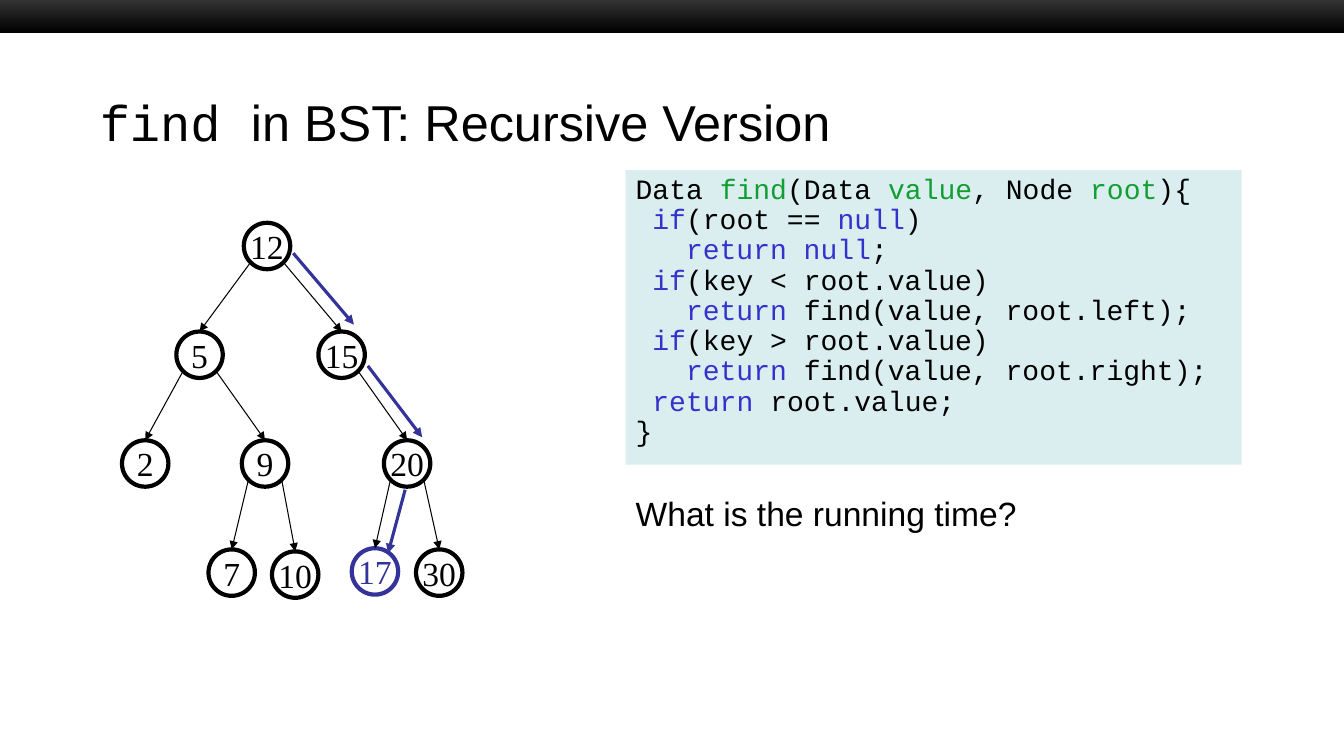
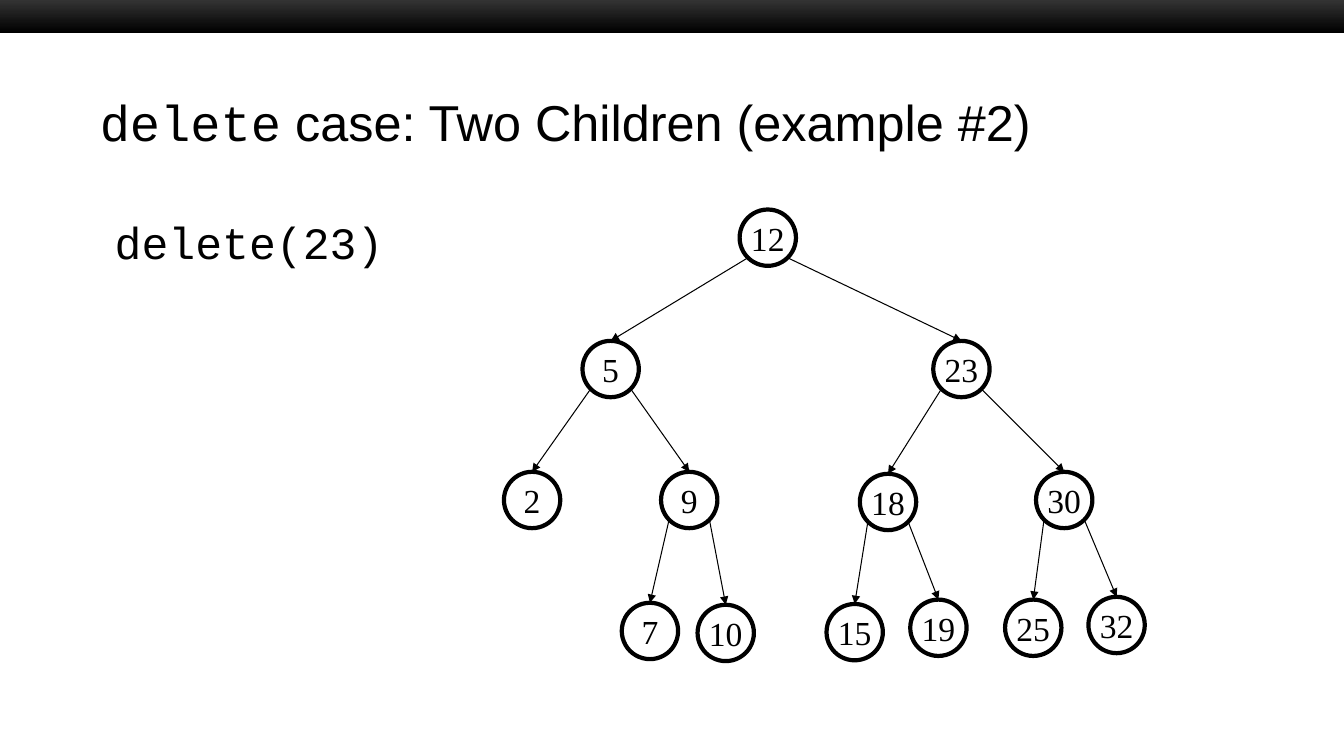
from lxml import etree
from pptx import Presentation
from pptx.dml.color import RGBColor
from pptx.enum.shapes import MSO_CONNECTOR, MSO_SHAPE
from pptx.enum.text import MSO_ANCHOR, PP_ALIGN
from pptx.oxml.ns import qn
from pptx.util import Cm, Pt

RECTANGLE = MSO_SHAPE.RECTANGLE
OVAL = MSO_SHAPE.OVAL
STRAIGHT = MSO_CONNECTOR.STRAIGHT
MIDDLE = MSO_ANCHOR.MIDDLE
TOP = MSO_ANCHOR.TOP
CENTER = PP_ALIGN.CENTER
LEFT = PP_ALIGN.LEFT

COLORS = {
    "text": "000000",
    "band_top": "333333",
    "band_bottom": "000000",
    "code_back": "DAEDEF",
    "name": "119F33",
    "keyword": "3333CC",
    "path": "333399",
}
SANS, MONO, SERIF = "Arial", "Courier New", "Times New Roman"
SLIDE_WIDTH, SLIDE_HEIGHT = 33.87, 19.05
TITLE_ONLY = 5
TOP_SITE = 0
CODE_SIZE = 20
CODE_CHARACTER = 0.6 * CODE_SIZE

FIND_CODE = [
    (0, [("Data ", "text"), ("find", "name"), ("(Data ", "text"), ("value", "name"),
         (", Node ", "text"), ("root", "name"), ("){", "text")]),
    (1, [("if", "keyword"), ("(root == ", "text"), ("null", "keyword"), (")", "text")]),
    (3, [("return null", "keyword"), (";", "text")]),
    (1, [("if", "keyword"), ("(key < root.value)", "text")]),
    (3, [("return", "keyword"), (" find(value, root.left);", "text")]),
    (1, [("if", "keyword"), ("(key > root.value)", "text")]),
    (3, [("return", "keyword"), (" find(value, root.right);", "text")]),
    (1, [("return ", "keyword"), ("root.value;", "text")]),
    (0, [("}", "text")]),
]

FIND_TREE = [
    ("12", None, 6.73, 6.2),
    ("5", "12", 5.03, 8.94),
    ("15", "12", 8.61, 8.94),
    ("2", "5", 3.66, 11.68),
    ("9", "5", 6.68, 11.68),
    ("20", "15", 10.26, 11.68),
    ("7", "9", 5.84, 14.43),
    ("10", "9", 7.44, 14.48),
    ("17", "20", 9.45, 14.4),
    ("30", "20", 11.07, 14.43),
]
SEARCH_ARROWS = [
    ((7.39, 6.38), (8.92, 8.18)),
    ((9.27, 9.22), (10.64, 11.02)),
    ((10.21, 12.34), (9.78, 13.94)),
]

DELETE_TREE = [
    ("12", None, 19.35, 5.99),
    ("5", "12", 15.39, 9.3),
    ("23", "12", 24.23, 9.3),
    ("2", "5", 13.41, 12.6),
    ("9", "5", 17.37, 12.6),
    ("18", "23", 22.38, 12.65),
    ("30", "23", 26.82, 12.6),
    ("7", "9", 16.38, 15.9),
    ("10", "9", 18.29, 15.95),
    ("15", "18", 21.54, 15.93),
    ("19", "18", 23.65, 15.82),
    ("25", "30", 26.04, 15.82),
    ("32", "30", 28.14, 15.75),
]


def color(name):
    return RGBColor.from_string(COLORS[name])


def add_run(paragraph, text, font, size, color_name="text"):
    run = paragraph.add_run()
    run.text = text
    run.font.name = font
    run.font.size = Pt(size)
    run.font.color.rgb = color(color_name)


def add_master_band(presentation, slide):
    band = slide.shapes.add_shape(RECTANGLE, 0, 0, Cm(SLIDE_WIDTH), Cm(0.84))
    band.shadow.inherit = False
    band.line.fill.background()
    band.fill.gradient()
    band.fill.gradient_angle = 270
    for stop, name in zip(band.fill.gradient_stops, ("band_top", "band_bottom")):
        stop.color.rgb = color(name)
    presentation.slide_master.element.cSld.spTree.insert(2, band.element)


def add_slide(presentation, title_runs):
    slide = presentation.slides.add_slide(presentation.slide_layouts[TITLE_ONLY])
    title = slide.shapes.title
    title.left, title.top = Cm(2.26), Cm(2.11)
    title.width, title.height = Cm(29.36), Cm(1.9)
    title.text_frame.vertical_anchor = MIDDLE
    paragraph = title.text_frame.paragraphs[0]
    paragraph.alignment = LEFT
    for text, font in title_runs:
        add_run(paragraph, text, font, 36)
    return slide


def add_label(slide, text, left, top, width, height, font, size, space_before=0):
    label = slide.shapes.add_textbox(Cm(left), Cm(top), Cm(width), Cm(height))
    label.text_frame.word_wrap = True
    paragraph = label.text_frame.paragraphs[0]
    paragraph.space_before = Pt(space_before)
    add_run(paragraph, text, font, size)


def add_arrow(slide, start, end, color_name="text", width=0.75):
    arrow = slide.shapes.add_connector(STRAIGHT, *(Cm(value) for value in start + end))
    arrow.line.color.rgb = color(color_name)
    arrow.line.width = Pt(width)
    etree.SubElement(arrow.line._get_or_add_ln(), qn("a:tailEnd"), type="triangle")
    etree.SubElement(arrow.element.spPr, qn("a:effectLst"))
    return arrow


def add_node(slide, label, x, y, diameter, color_name):
    corner = Cm(x - diameter / 2), Cm(y - diameter / 2)
    node = slide.shapes.add_shape(OVAL, *corner, Cm(diameter), Cm(diameter))
    node.shadow.inherit = False
    node.fill.background()
    node.line.color.rgb = color(color_name)
    node.line.width = Pt(3)
    frame = node.text_frame
    frame.word_wrap = False
    frame.vertical_anchor = MIDDLE
    paragraph = frame.paragraphs[0]
    paragraph.alignment = CENTER
    add_run(paragraph, label, SERIF, 24, color_name)
    return node


def add_tree(slide, tree, diameter, found=None):
    centers = {}
    reach = 0.36 * diameter
    for label, parent, x, y in tree:
        centers[label] = x, y
        color_name = "path" if label == found else "text"
        node = add_node(slide, label, x, y, diameter, color_name)
        if parent:
            parent_x, parent_y = centers[parent]
            side = -reach if x < parent_x else reach
            start = parent_x + side, parent_y + reach
            edge = add_arrow(slide, start, (x, y - diameter / 2))
            edge.end_connect(node, TOP_SITE)


def add_code(slide, lines, left, top, width, height):
    box = slide.shapes.add_shape(RECTANGLE, Cm(left), Cm(top), Cm(width), Cm(height))
    box.shadow.inherit = False
    box.fill.solid()
    box.fill.fore_color.rgb = color("code_back")
    box.line.fill.background()
    frame = box.text_frame
    frame.word_wrap = True
    frame.vertical_anchor = TOP
    for index, (indent, runs) in enumerate(lines):
        paragraph = frame.add_paragraph() if index else frame.paragraphs[0]
        paragraph.alignment = LEFT
        paragraph.line_spacing = 0.9
        properties = paragraph._p.get_or_add_pPr()
        properties.set("marL", str(Pt(indent * CODE_CHARACTER)))
        for text, color_name in runs:
            add_run(paragraph, text, MONO, CODE_SIZE, color_name)


def build_find_slide(presentation):
    slide = add_slide(presentation, [("find ", MONO), ("in BST: Recursive Version", SANS)])
    add_master_band(presentation, slide)
    add_label(slide, "What is the running time?", 15.77, 12.29, 15.77, 2.08, SANS, 24, 5)
    add_tree(slide, FIND_TREE, 1.17, found="17")
    add_code(slide, FIND_CODE, 15.77, 4.29, 15.52, 7.42)
    for start, end in SEARCH_ARROWS:
        add_arrow(slide, start, end, "path", 2.25)


def build_delete_slide(presentation):
    title_runs = [("delete", MONO), (" case: Two Children (example #2)", SANS)]
    slide = add_slide(presentation, title_runs)
    add_label(slide, "delete(23)", 2.64, 5.28, 7.37, 1.63, MONO, 32)
    add_tree(slide, DELETE_TREE, 1.42)


def main():
    presentation = Presentation()
    presentation.slide_width = Cm(SLIDE_WIDTH)
    presentation.slide_height = Cm(SLIDE_HEIGHT)
    build_find_slide(presentation)
    build_delete_slide(presentation)
    presentation.save("out.pptx")


if __name__ == "__main__":
    main()
